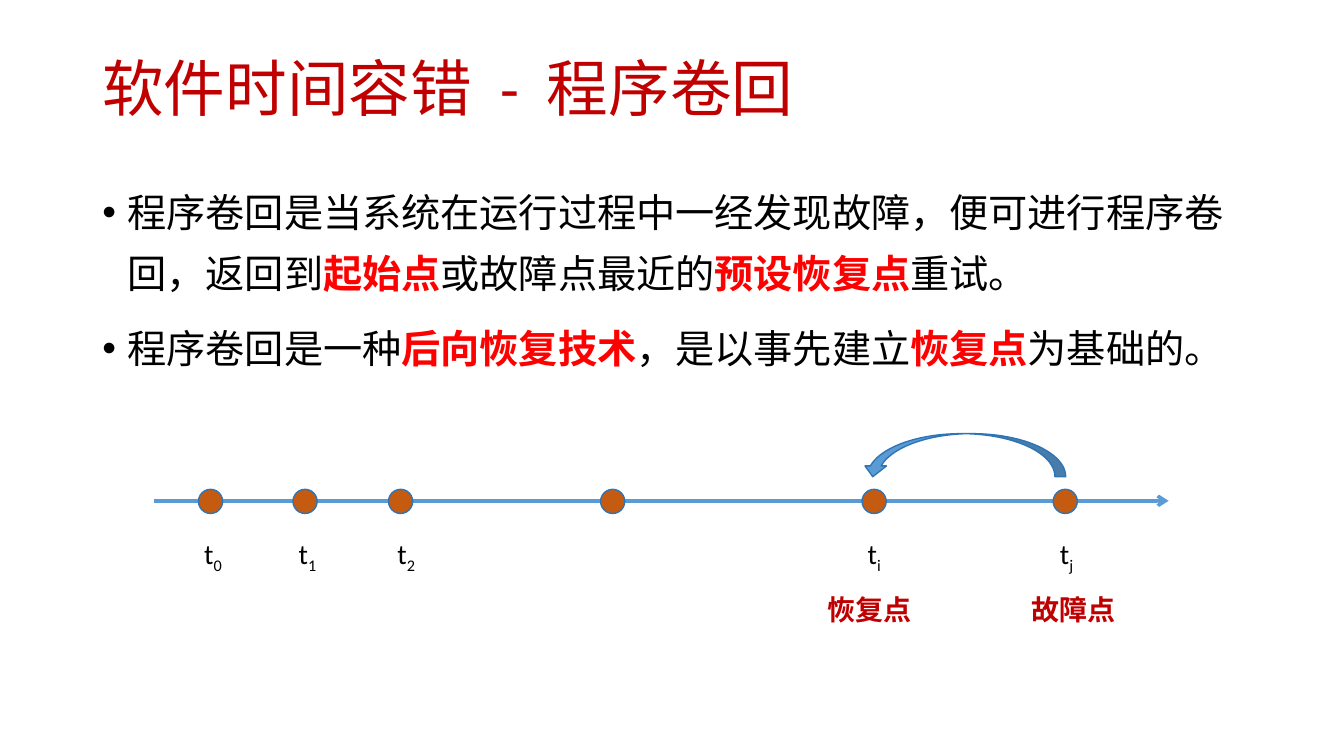
from lxml import etree
from pptx import Presentation
from pptx.dml.color import RGBColor
from pptx.enum.shapes import MSO_CONNECTOR, MSO_SHAPE
from pptx.enum.text import MSO_ANCHOR
from pptx.oxml.ns import qn
from pptx.util import Pt

PX = 9525
LINE = MSO_CONNECTOR.STRAIGHT
DOT = MSO_SHAPE.OVAL
ARC = MSO_SHAPE.CURVED_DOWN_ARROW
TOP, MIDDLE = MSO_ANCHOR.TOP, MSO_ANCHOR.MIDDLE
FONT = "Calibri"
BLACK, RED, DARK = "000000", "FF0000", "C00000"
BLUE, EDGE, RUST = "5B9BD5", "2E75B6", "C55A11"
KEY = {"color": RED, "bold": True}
SUB = {"base": -25000}
GAP = {"spc": 1000}


def px(*sizes):
    """Turn pixel lengths into EMU."""
    return [size * PX for size in sizes]


def rgb(code):
    """Turn a hex string into a colour."""
    return RGBColor.from_string(code)


def add_run(para, text, size, color, bold=False, base=None, spc=None):
    """Add one formatted run to a paragraph."""
    run = para.add_run()
    run.text = text
    font = run.font
    font.name, font.size, font.bold = FONT, Pt(size), bold
    font.color.rgb = rgb(color)
    props = run._r.get_or_add_rPr()
    props.set("lang", "zh-CN")
    for key, value in (("baseline", base), ("spc", spc)):
        if value is not None:
            props.set(key, str(value))


def add_text(slide, box, paras, size=20, color=BLACK, bold=False,
             anchor=TOP, space=1.0, before=0, bullet=False):
    """Add a text box whose paragraphs are lists of (text, format) runs."""
    frame = slide.shapes.add_textbox(*px(*box)).text_frame
    frame.word_wrap = True
    frame.vertical_anchor = anchor
    for i, runs in enumerate(paras):
        para = frame.paragraphs[0] if i == 0 else frame.add_paragraph()
        if bullet:
            props = para._p.get_or_add_pPr()
            props.set("marL", str(24 * PX))
            props.set("indent", str(-24 * PX))
            face = etree.SubElement(props, qn("a:buFont"))
            face.set("typeface", "Arial")
            etree.SubElement(props, qn("a:buChar")).set("char", "•")
        para.line_spacing = space
        if i:
            para.space_before = Pt(before)
        for text, form in runs:
            add_run(para, text, **{"size": size, "color": color,
                                   "bold": bold, **form})


def add_form(slide, kind, box, fill):
    """Add a filled shape with a thin blue edge."""
    form = slide.shapes.add_shape(kind, *px(*box))
    form.shadow.inherit = False
    form.fill.solid()
    form.fill.fore_color.rgb = rgb(fill)
    form.line.color.rgb = rgb(EDGE)
    form.line.width = Pt(1)
    return form


def add_axis(slide, x, y, width):
    """Draw the time axis with an open arrowhead."""
    axis = slide.shapes.add_connector(LINE, *px(x, y, x + width, y))
    axis.line.color.rgb = rgb(BLUE)
    axis.line.width = Pt(2.5)
    tail = etree.SubElement(axis.line._get_or_add_ln(), qn("a:tailEnd"))
    tail.set("type", "arrow")
    etree.SubElement(axis._element.spPr, qn("a:effectLst"))


def add_title(slide, box):
    """Write the slide title."""
    runs = [("软件时间容错", {}), (" ", GAP), ("-", {}), (" ", GAP),
            ("程序卷回", {})]
    add_text(slide, box, [runs], size=44, color=DARK, anchor=MIDDLE,
             space=0.9)


def add_body(slide, box):
    """Write the two bullet points."""
    paras = [
        [("程序卷回是当系统在运行过程中一经发现故障，便可进行程序卷回，返回到", {}),
         ("起始点", KEY), ("或故障点最近的", {}), ("预设恢复点", KEY),
         ("重试。", {})],
        [("程序卷回是一种", {}), ("后向恢复技术", KEY),
         ("，是以事先建立", {}), ("恢复点", KEY), ("为基础的。", {})],
    ]
    add_text(slide, box, paras, size=28, space=1.3, before=10, bullet=True)


def add_time(slide, box):
    """Draw the timeline with its points, labels and rollback arrow."""
    x, y, width, height = box
    mid, dot = y + 64, 23
    add_axis(slide, x, mid, width)
    for left in (42, 132, 223, 425, 674, 856):
        add_form(slide, DOT, (x + left, mid - dot // 2, dot, dot), RUST)
    arc = add_form(slide, ARC, (x + 674, y, 194, 41), BLUE)
    arc._element.spPr.find(qn("a:xfrm")).set("flipH", "1")
    for left, mark in ((38, "0"), (128, "1"), (222, "2"), (670, "i"),
                       (853, "j")):
        add_text(slide, (x + left, mid + 29, 63, 42),
                 [[("t", {}), (mark, SUB)]])
    for left, note in ((632, "恢复点"), (826, "故障点")):
        add_text(slide, (x + left, y + height - 42, 106, 42),
                 [[(note, {})]], color=DARK, bold=True)


def main():
    """Build the slide and save it."""
    deck = Presentation()
    deck.slide_width, deck.slide_height = px(1280, 720)
    slide = deck.slides.add_slide(deck.slide_layouts[6])
    add_title(slide, (88, 38, 1104, 98))
    add_body(slide, (88, 161, 1104, 199))
    add_time(slide, (147, 413, 966, 189))
    deck.save("out.pptx")


if __name__ == "__main__":
    main()
